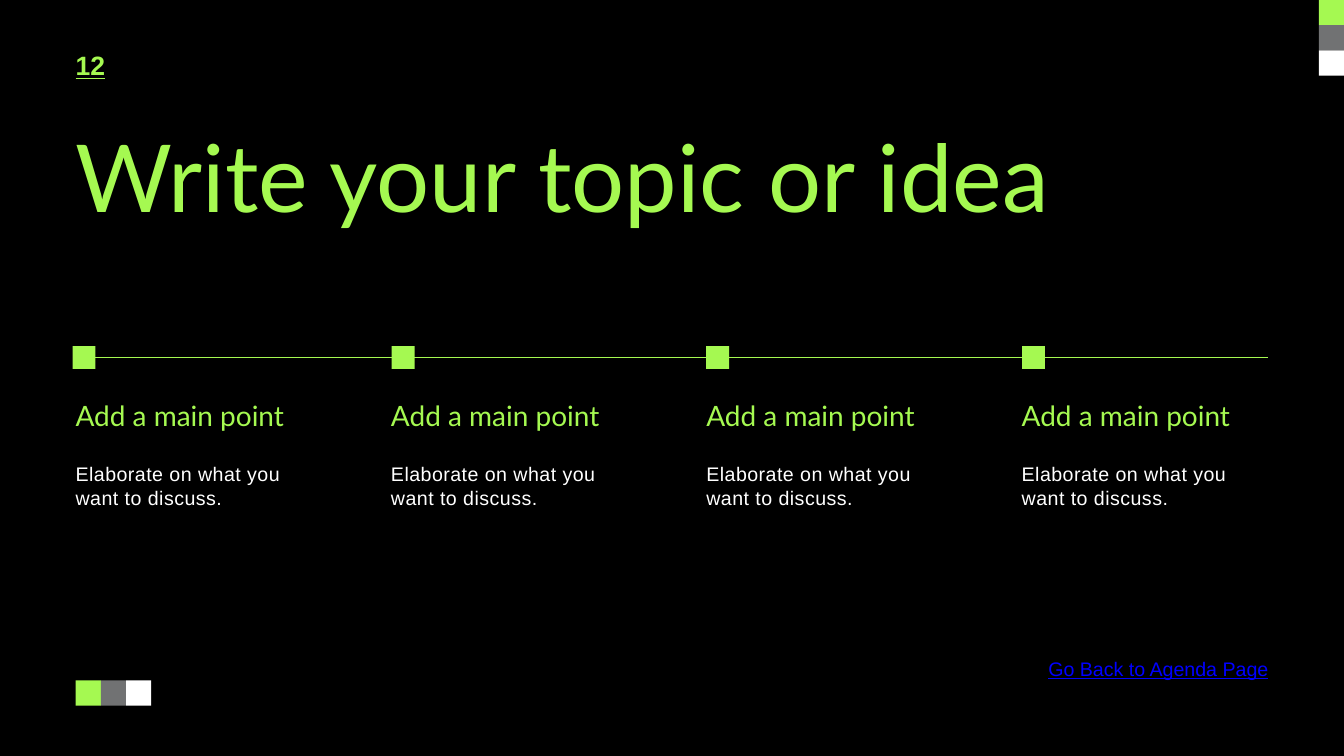
from pptx import Presentation
from pptx.dml.color import RGBColor
from pptx.enum.shapes import MSO_CONNECTOR, MSO_SHAPE
from pptx.enum.text import PP_ALIGN
from pptx.oxml.ns import qn
from pptx.util import Inches, Pt
from lxml import etree

GREEN = RGBColor(0xA5, 0xF9, 0x51)
GRAY = RGBColor(0x71, 0x72, 0x73)
WHITE = RGBColor(0xFF, 0xFF, 0xFF)
BLACK = RGBColor(0x00, 0x00, 0x00)
BLUE = RGBColor(0x00, 0x00, 0xFF)
RECTANGLE = MSO_SHAPE.RECTANGLE
STRAIGHT = MSO_CONNECTOR.STRAIGHT
LEFT, RIGHT = PP_ALIGN.LEFT, PP_ALIGN.RIGHT

MARGIN = 1.125
CONTENT_WIDTH = 17.75
SWATCH = 0.375
MARKER = 0.34
COLUMN_STEP = 4.693
COLUMN_WIDTH = 3.68
MARKER_LEFTS = (1.08, 5.83, 10.51, 15.21)
POINTS = [("Add a main point", "Elaborate on what you want to discuss.")] * 4


def add_square(page, left, top, size, color):
    square = page.shapes.add_shape(
        RECTANGLE, Inches(left), Inches(top), Inches(size), Inches(size))
    square.shadow.inherit = False
    square.fill.solid()
    square.fill.fore_color.rgb = color
    square.line.fill.background()


def add_text(page, left, top, width, height, text, size, color, font="Arial",
             line_spacing=None, align=LEFT, bold=False, underline=False,
             tracking=0):
    box = page.shapes.add_textbox(
        Inches(left), Inches(top), Inches(width), Inches(height))
    frame = box.text_frame
    frame.word_wrap = True
    frame.margin_left = frame.margin_right = 0
    frame.margin_top = frame.margin_bottom = 0
    frame.text = text
    para = frame.paragraphs[0]
    para.alignment = align
    para.line_spacing = Pt(line_spacing)
    span = para.runs[0]
    span.font.name = font
    span.font.size = Pt(size)
    span.font.color.rgb = color
    span.font.bold = bold
    span.font.underline = underline
    if tracking:
        # Letter spacing is stored in hundredths of a point
        span.font._element.set("spc", str(int(tracking * 100)))


def add_swatches(page, left, top, step_x, step_y):
    for index, color in enumerate((GREEN, GRAY, WHITE)):
        add_square(page, left + index * step_x, top + index * step_y,
                   SWATCH, color)


def add_header(page, left, top, width):
    add_text(page, left, top, 0.58, 0.48, "12", 28.4, GREEN,
             line_spacing=36.9, bold=True, underline=True)
    add_text(page, left, top + 1.48, width, 1.36, "Write your topic or idea",
             100.4, GREEN, "Lato", line_spacing=91.3)


def add_timeline(page, left, top, width):
    # Axis line
    axis_y = Inches(top + MARKER / 2)
    axis = page.shapes.add_connector(
        STRAIGHT, Inches(left), axis_y, Inches(left + width), axis_y)
    axis.line.color.rgb = GREEN
    axis.line.width = Pt(0.75)
    etree.SubElement(axis._element.spPr, qn("a:effectLst"))

    # Markers with the points below them
    for index, (heading, detail) in enumerate(POINTS):
        column = left + index * COLUMN_STEP
        add_square(page, MARKER_LEFTS[index], top, MARKER, GREEN)
        add_text(page, column, top + 0.78, COLUMN_WIDTH, 0.51, heading,
                 30, GREEN, "Lato", line_spacing=36)
        add_text(page, column, top + 1.71, COLUMN_WIDTH, 0.7, detail,
                 21, WHITE, line_spacing=25.8, tracking=0.5)


def add_footer(page, left, top, width):
    add_text(page, left, top, width, 0.34, "Go Back to Agenda Page", 21, BLUE,
             line_spacing=25.2, align=RIGHT, underline=True)


def main():
    deck = Presentation()
    deck.slide_width = Inches(20)
    deck.slide_height = Inches(11.25)
    page = deck.slides.add_slide(deck.slide_layouts[6])
    page.background.fill.solid()
    page.background.fill.fore_color.rgb = BLACK

    # Corner swatches: a column at top right, a row at bottom left
    add_swatches(page, 20 - SWATCH, 0, 0, SWATCH)
    add_swatches(page, MARGIN, 10.125, SWATCH, 0)

    add_header(page, MARGIN, 0.69, CONTENT_WIDTH)
    add_timeline(page, MARGIN, 5.15, CONTENT_WIDTH)
    add_footer(page, 10, 9.78, 8.875)
    deck.save("out.pptx")


if __name__ == "__main__":
    main()
